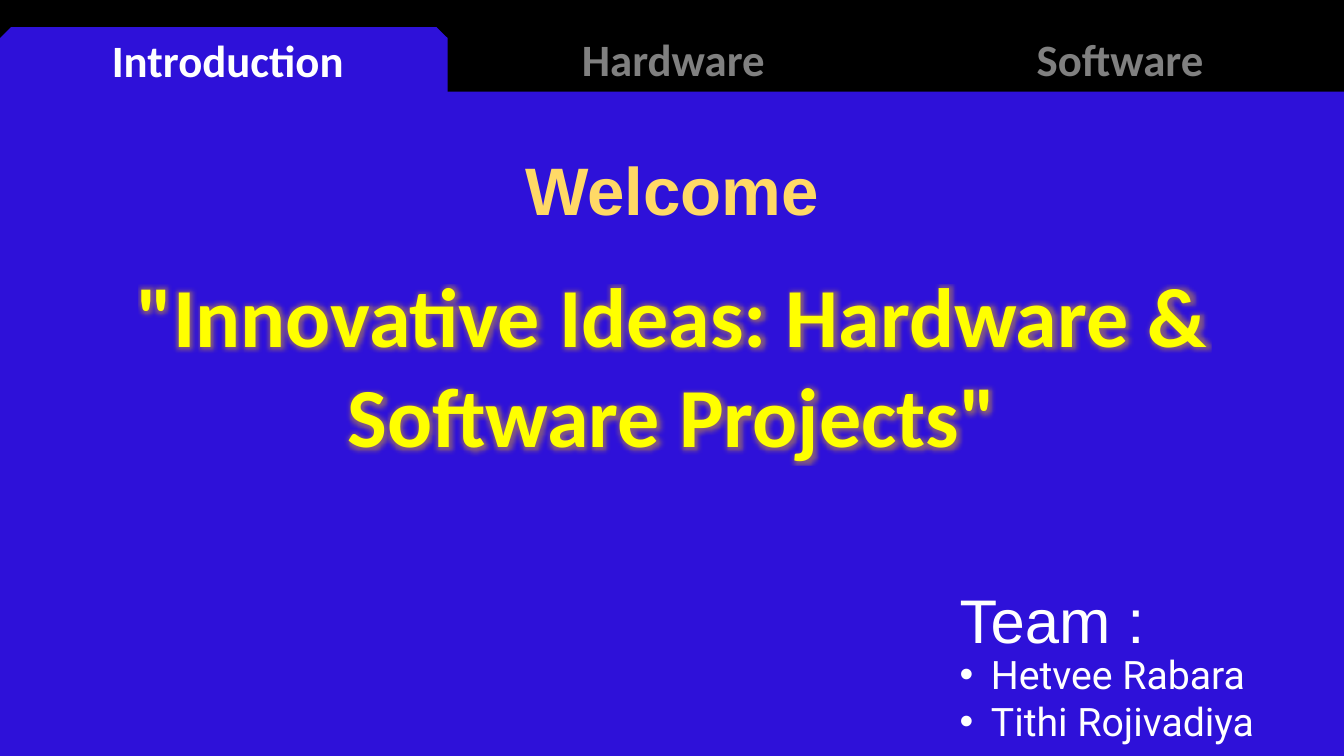
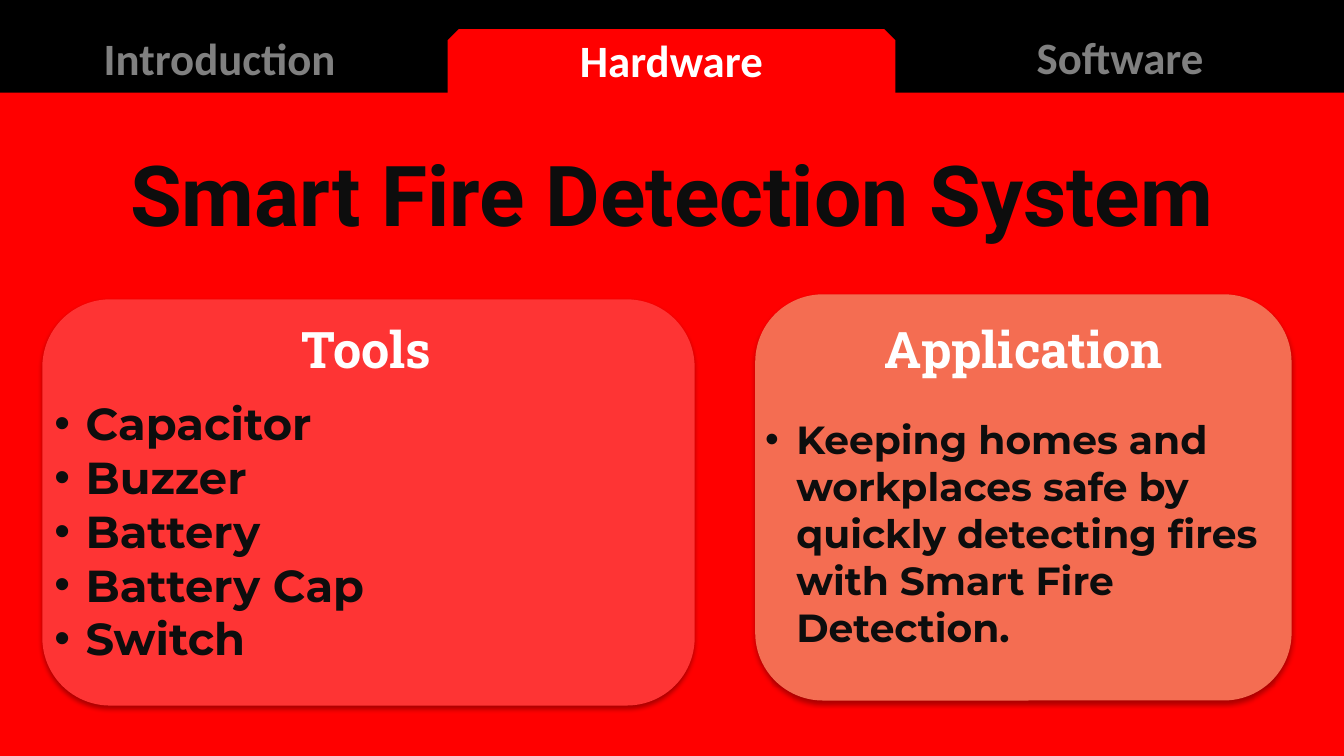
import pptx
import pptx.util
import pptx.oxml
import pptx.dml.color
import pptx.enum.shapes
import pptx.enum.text

PX = 9144
WIDTH, HEIGHT = 1333, 750
TAB_WIDTH, TAB_HEIGHT = 444, 65
INDENT = 31
BLACK, WHITE, GREY, INK = "000000", "FFFFFF", "808080", "0D0D0D"
TABS = ["Introduction", "Hardware", "Software"]
SHAPES = pptx.enum.shapes.MSO_SHAPE
ALIGN = pptx.enum.text.PP_ALIGN
NAMESPACE = 'xmlns:a="http://schemas.openxmlformats.org/drawingml/2006/main"'

TAB_STYLE = {"size": 32, "font": "Calibri", "bold": True}
CARD_TITLE = {"size": 36, "font": "Roboto Slab", "color": WHITE, "bold": True}
CARD_TEXT = {"font": "Montserrat", "color": INK, "bold": True, "bullet": True}

PAGES = [
    {
        "color": "2E11D9", "active": 0, "tab_top": 27, "body_top": 91,
        "labels": [(4, 28), (446, 27), (889, 27)],
        "cards": [],
        "texts": [
            ((0, 142, WIDTH, 91), ["Welcome"],
             {"size": 48, "font": "Arial", "color": "FFD966", "bold": True, "center": True}),
            ((0, 256, WIDTH, 212), ['"Innovative Ideas: Hardware & Software Projects"'],
             {"size": 60, "font": "Calibri", "color": "FFFF00", "bold": True, "center": True,
              "glow": "FFC000"}),
            ((942, 572, 391, 73), ["Team :"],
             {"size": 44, "font": "Arial", "color": WHITE}),
            ((942, 640, 391, 110), ["Hetvee Rabara", "Tithi Rojivadiya"],
             {"size": 28, "font": "Roboto", "color": WHITE, "bullet": True}),
        ],
    },
    {
        "color": "FF0000", "active": 1, "tab_top": 29, "body_top": 92,
        "labels": [(-4, 26), (444, 28), (889, 25)],
        "cards": [((42, 297, 647, 403), "FE3434"), ((749, 292, 532, 403), "F46D52")],
        "texts": [
            ((0, 136, WIDTH, 111), ["Smart Fire Detection System"],
             {"size": 60, "font": "Roboto", "color": INK, "bold": True, "center": True}),
            ((40, 311, 647, 71), ["Tools"], {**CARD_TITLE, "center": True}),
            ((749, 311, 532, 71), ["Application"], {**CARD_TITLE, "center": True}),
            ((44, 388, 646, 279),
             ["Capacitor", "Buzzer", "Battery", "Battery Cap", "Switch"],
             {**CARD_TEXT, "size": 32}),
            ((749, 407, 532, 246),
             ["Keeping homes and workplaces safe by quickly detecting fires "
              "with Smart Fire Detection."],
             {**CARD_TEXT, "size": 28}),
        ],
    },
]


def rgb(color):
    return pptx.dml.color.RGBColor.from_string(color)


def emu(frame):
    return [value * PX for value in frame]


def effects(content):
    return pptx.oxml.parse_xml(f"<a:effectLst {NAMESPACE}>{content}</a:effectLst>")


def add_block(page, kind, frame, color):
    block = page.shapes.add_shape(kind, *emu(frame))
    block.shadow.inherit = False
    block.fill.solid()
    block.fill.fore_color.rgb = rgb(color)
    block.line.fill.background()
    return block


def add_card(page, frame, color):
    card = add_block(page, SHAPES.ROUNDED_RECTANGLE, frame, color)
    properties = card.fill._xPr
    properties.remove(properties.find(pptx.oxml.ns.qn("a:effectLst")))
    properties.append(effects(
        '<a:outerShdw blurRad="44450" dist="27940" dir="5400000" algn="ctr">'
        f'<a:srgbClr val="{BLACK}"><a:alpha val="32000"/></a:srgbClr></a:outerShdw>'))


def add_bullet(para):
    properties = para._p.get_or_add_pPr()
    properties.set("marL", str(INDENT * PX))
    properties.set("indent", str(-INDENT * PX))
    for tag in ('buFont typeface="Arial"', 'buChar char="•"'):
        properties.append(pptx.oxml.parse_xml(f"<a:{tag} {NAMESPACE}/>"))


def add_text(page, frame, lines, style):
    box = page.shapes.add_textbox(*emu(frame))
    box.text_frame.word_wrap = True
    for index, line in enumerate(lines):
        para = box.text_frame.add_paragraph() if index else box.text_frame.paragraphs[0]
        para.alignment = ALIGN.CENTER if style.get("center") else ALIGN.LEFT
        if style.get("bullet"):
            add_bullet(para)
        span = para.add_run()
        span.text = line
        span.font.size = pptx.util.Pt(style["size"])
        span.font.bold = style.get("bold", False)
        span.font.color.rgb = rgb(style["color"])
        if "glow" in style:
            span.font._rPr.append(effects(
                f'<a:glow rad="63500"><a:srgbClr val="{style["glow"]}">'
                '<a:alpha val="40000"/></a:srgbClr></a:glow>'))
        span.font.name = style["font"]


def add_page(deck, content):
    page = deck.slides.add_slide(deck.slide_layouts[6])
    page.background.fill.solid()
    page.background.fill.fore_color.rgb = rgb(BLACK)
    active, color, top = content["active"], content["color"], content["body_top"]
    add_block(page, SHAPES.RECTANGLE, (0, top, WIDTH, HEIGHT - top), color)
    add_block(page, SHAPES.SNIP_2_SAME_RECTANGLE,
              (active * TAB_WIDTH, content["tab_top"], TAB_WIDTH, TAB_HEIGHT), color)
    for index, (label, place) in enumerate(zip(TABS, content["labels"])):
        add_text(page, (*place, TAB_WIDTH, TAB_HEIGHT), [label],
                 {**TAB_STYLE, "color": WHITE if index == active else GREY, "center": True})
    for frame, fill in content["cards"]:
        add_card(page, frame, fill)
    for frame, lines, style in content["texts"]:
        add_text(page, frame, lines, style)


def main():
    deck = pptx.Presentation()
    deck.slide_width, deck.slide_height = emu((WIDTH, HEIGHT))
    for content in PAGES:
        add_page(deck, content)
    deck.save("out.pptx")


if __name__ == "__main__":
    main()
